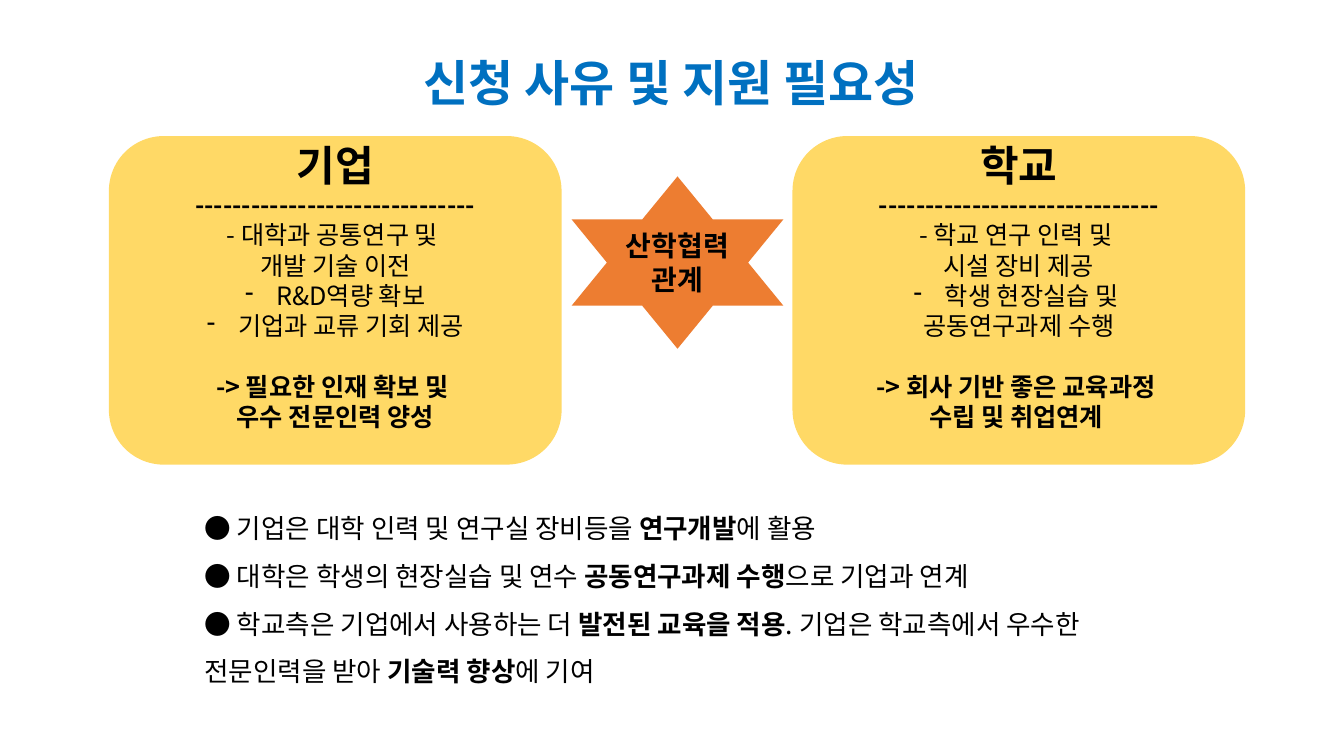
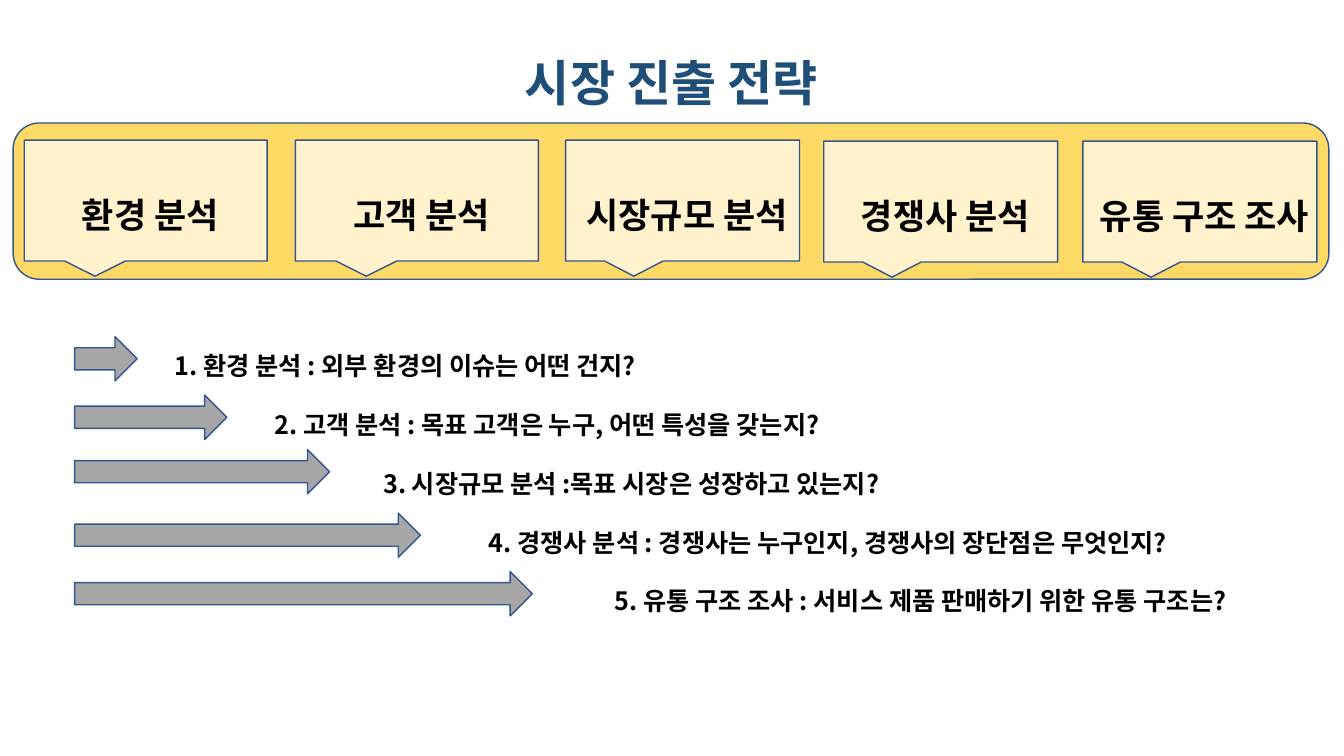
import dataclasses

import pptx
import pptx.dml.color
import pptx.enum.shapes
import pptx.enum.text
import pptx.oxml
import pptx.oxml.ns
import pptx.util

Inches = pptx.util.Inches
Pt = pptx.util.Pt
SHAPE = pptx.enum.shapes.MSO_SHAPE
ALIGN = pptx.enum.text.PP_ALIGN
ANCHOR = pptx.enum.text.MSO_ANCHOR
TITLE_ONLY = 5


@dataclasses.dataclass(frozen=True)
class Theme:
    font: str = "Noto Sans CJK KR"
    text: str = "000000"
    blue: str = "0070C0"
    navy: str = "1F4E79"
    gold: str = "FFD966"
    cream: str = "FFF2CC"
    orange: str = "ED7D31"
    grey: str = "A6A6A6"
    outline: str = "325491"
    title_size: float = 35
    heading_size: float = 30
    label_size: float = 25
    badge_size: float = 20
    bullet_size: float = 19
    body_size: float = 18


THEME = Theme()

CARDS = [
    (1.08, "기업", [
        "- 대학과 공통연구 및 ", "개발 기술 이전",
        "•R&D역량 확보", "•기업과 교류 기회 제공",
    ], ["-> 필요한 인재 확보 및 ", "우수 전문인력 양성"]),
    (7.86, "학교", [
        "- 학교 연구 인력 및 ", "시설 장비 제공",
        "•학생 현장실습 및 ", "공동연구과제 수행",
    ], ["-> 회사 기반 좋은 교육과정 ", "수립 및 취업연계 "]),
]

# Asterisks enclose the bold words.
BENEFITS = [
    "● 기업은 대학 인력 및 연구실 장비등을 *연구개발*에 활용",
    "● 대학은 학생의 현장실습 및 연수 *공동연구과제 수행*으로 기업과 연계",
    "● 학교측은 기업에서 사용하는 더 *발전된 교육을 적용*. 기업은 학교측에서 "
    "우수한 전문인력을 받아 *기술력 향상*에 기여",
]

# Name, then left, top and width inside the band.
ANALYSES = [
    ("환경 분석", 0.11, 0.17, 2.41),
    ("고객 분석", 2.8, 0.17, 2.41),
    ("시장규모 분석", 5.48, 0.17, 2.32),
    ("경쟁사 분석", 8.04, 0.18, 2.32),
    ("유통 구조 조사", 10.61, 0.18, 2.32),
]

# Question, its left and width, then the arrow's top and length.
QUESTIONS = [
    ("1. 환경 분석 : 외부 환경의 이슈는 어떤 건지?", 0.93, 6.18, 3.34, 0.62),
    ("2. 고객 분석 : 목표 고객은 누구, 어떤 특성을 갖는지?", 2.14, 6.57, 3.92, 1.51),
    ("3. 시장규모 분석 :목표 시장은 성장하고 있는지?", 2.33, 7.86, 4.46, 2.53),
    ("4. 경쟁사 분석 : 경쟁사는 누구인지, 경쟁사의 장단점은 무엇인지?",
     4.28, 7.86, 5.09, 3.43),
    ("5. 유통 구조 조사 : 서비스 제품 판매하기 위한 유통 구조는?",
     5.2, 7.86, 5.67, 4.54),
]


def rgb(value):
    return pptx.dml.color.RGBColor.from_string(value)


def style_paragraph(p, size, bold=False, color=THEME.text, align=ALIGN.CENTER,
                    spacing=None):
    p.alignment = align
    if spacing:
        p.line_spacing = spacing
    p.font.size = Pt(size)
    p.font.bold = bold
    p.font.color.rgb = rgb(color)
    p.font.name = THEME.font
    defaults = p._p.pPr.find(pptx.oxml.ns.qn("a:defRPr"))
    ea = pptx.oxml.parse_xml(f'<a:ea {pptx.oxml.ns.nsdecls("a")}/>')
    ea.set("typeface", THEME.font)
    defaults.append(ea)


def add_dash_bullet(p):
    pPr = p._p.get_or_add_pPr()
    pPr.set("marL", str(Inches(0.31)))
    pPr.set("indent", str(-Inches(0.31)))
    bullet = pptx.oxml.parse_xml(
        f'<a:buChar {pptx.oxml.ns.nsdecls("a")} char="-"/>')
    pPr.find(pptx.oxml.ns.qn("a:defRPr")).addprevious(bullet)


def next_paragraph(tf):
    """Return the empty first paragraph, or a new one after the last."""
    first = tf.paragraphs[0]
    return tf.add_paragraph() if first.runs else first


def write_line(tf, text, size, **style):
    p = next_paragraph(tf)
    p.add_run().text = text
    style_paragraph(p, size, **style)
    return p


def add_shape(slide, kind, box, fill, line=None):
    sp = slide.shapes.add_shape(kind, *map(Inches, box))
    sp.shadow.inherit = False
    sp.fill.solid()
    sp.fill.fore_color.rgb = rgb(fill)
    if line:
        sp.line.color.rgb = rgb(line)
        sp.line.width = Pt(1)
    else:
        sp.line.fill.background()
    sp.text_frame.word_wrap = True
    sp.text_frame.vertical_anchor = ANCHOR.MIDDLE
    return sp


def add_text_box(slide, box):
    tf = slide.shapes.add_textbox(*map(Inches, box)).text_frame
    tf.word_wrap = True
    tf.auto_size = pptx.enum.text.MSO_AUTO_SIZE.SHAPE_TO_FIT_TEXT
    return tf


def add_titled_slide(prs, title, color):
    slide = prs.slides.add_slide(prs.slide_layouts[TITLE_ONLY])
    sp = slide.shapes.title
    sp.left, sp.top, sp.width, sp.height = map(Inches, (1.82, 0, 9.68, 1))
    tf = sp.text_frame
    tf.vertical_anchor = ANCHOR.TOP
    tf.auto_size = pptx.enum.text.MSO_AUTO_SIZE.SHAPE_TO_FIT_TEXT
    write_line(tf, title, THEME.title_size, bold=True, color=color, spacing=1.8)
    return slide


def add_partner_card(slide, box, heading, offers, outcome):
    tf = add_shape(slide, SHAPE.ROUNDED_RECTANGLE, box, THEME.gold).text_frame
    tf.margin_top, tf.margin_bottom = 0, Inches(0.3)
    write_line(tf, heading, THEME.heading_size, bold=True)
    write_line(tf, "-" * 30, THEME.body_size, bold=True)
    for offer in offers:
        p = write_line(tf, offer.lstrip("•"), THEME.body_size)
        if offer.startswith("•"):
            add_dash_bullet(p)
    for i, text in enumerate(outcome):
        p = write_line(tf, text, THEME.body_size, bold=True)
        if i == 0:
            p.space_before = Pt(21.5)


def add_badge(slide, box, lines):
    tf = add_shape(slide, SHAPE.STAR_6_POINT, box, THEME.orange).text_frame
    for text in lines:
        write_line(tf, text, THEME.badge_size, bold=True)


def add_benefits(slide, box, benefits):
    tf = add_text_box(slide, box)
    for benefit in benefits:
        p = next_paragraph(tf)
        for i, part in enumerate(benefit.split("*")):
            r = p.add_run()
            r.text = part
            if i % 2:
                r.font.bold = True
        style_paragraph(p, THEME.bullet_size, align=ALIGN.LEFT, spacing=1.5)


def add_analysis_band(slide, box, analyses):
    left, top, _, _ = box
    add_shape(slide, SHAPE.ROUNDED_RECTANGLE, box, THEME.gold, THEME.outline)
    for name, dx, dy, width in analyses:
        sp = add_shape(slide, SHAPE.RECTANGULAR_CALLOUT,
                       (left + dx, top + dy, width, 1.2),
                       THEME.cream, THEME.outline)
        tf = sp.text_frame
        tf.margin_left, tf.margin_top = Inches(0.09), Inches(0.07)
        tf.margin_right = tf.margin_bottom = 0
        write_line(tf, name, THEME.label_size, bold=True, spacing=1.5)


def add_question_steps(slide, box, questions):
    """Place one arrow and question a row; the arrows start at the box's left."""
    left, top, height = box
    row_height = 0.5
    step = (height - row_height) / (len(questions) - 1)
    for i, (text, text_left, width, arrow_top, length) in enumerate(questions):
        tf = add_text_box(slide, (text_left, top + i * step, width, row_height))
        write_line(tf, text, THEME.body_size, bold=True, spacing=1.5)
        add_shape(slide, SHAPE.RIGHT_ARROW, (left, arrow_top, length, 0.44),
                  THEME.grey, THEME.outline)


def build_need_slide(prs):
    slide = add_titled_slide(prs, "신청 사유 및 지원 필요성", THEME.blue)
    for left, heading, offers, outcome in CARDS:
        add_partner_card(slide, (left, 1.35, 4.49, 3.26), heading, offers, outcome)
    add_badge(slide, (5.67, 1.75, 2.1, 1.71), ["산학협력", "관계"])
    add_benefits(slide, (1.93, 4.87, 9.25, 1.96), BENEFITS)


def build_strategy_slide(prs):
    slide = add_titled_slide(prs, "시장 진출 전략", THEME.navy)
    add_analysis_band(slide, (0.13, 1.22, 13.05, 1.55), ANALYSES)
    add_question_steps(slide, (0.74, 3.28, 2.83), QUESTIONS)


def main():
    prs = pptx.Presentation()
    prs.slide_width, prs.slide_height = Inches(13.33), Inches(7.5)
    build_need_slide(prs)
    build_strategy_slide(prs)
    prs.save("out.pptx")


if __name__ == "__main__":
    main()
